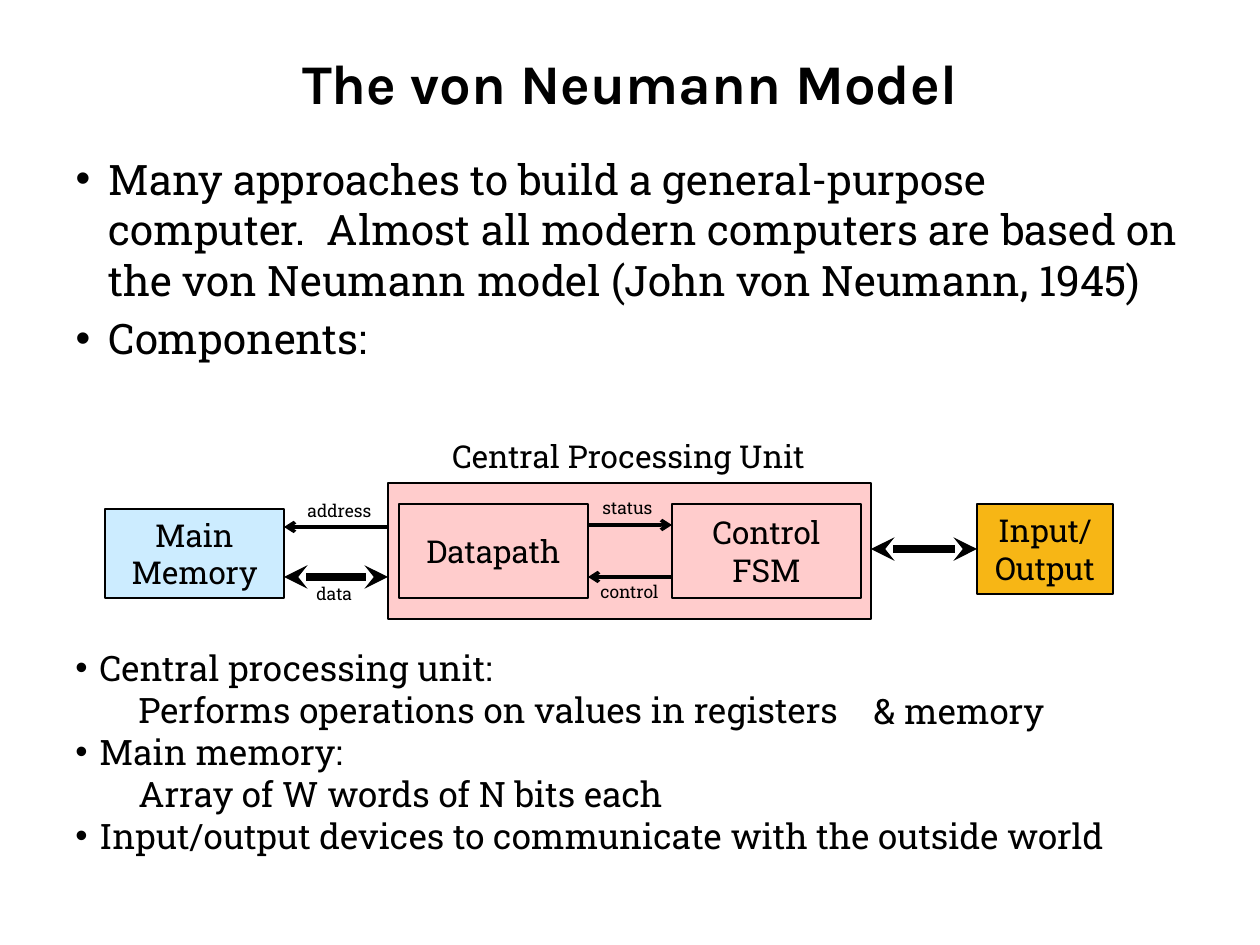
from lxml import etree
from pptx import Presentation
from pptx import util as u
from pptx.dml.color import RGBColor
from pptx.enum import shapes, text
from pptx.oxml.ns import qn

BLACK = RGBColor(0, 0, 0)
PINK = RGBColor(0xFF, 0xCC, 0xCC)
BLUE = RGBColor(0xCC, 0xEC, 0xFF)
GOLD = RGBColor(0xF7, 0xB6, 0x15)
HEADING_FONT, BODY_FONT = "Karla", "Roboto Slab"
PX = 914400 / 126

TITLE = "The von Neumann Model"
INTRO = [
    ["Many approaches to build a general-purpose computer.  Almost all modern "
     "computers are based on the von Neumann model (John von Neumann, 1945)"],
    ["Components:"],
]
DETAILS = [
    ["Central processing unit:", "\tPerforms operations on values in registers"],
    ["Main memory:", "\tArray of W words of N bits each"],
    ["Input/output devices to communicate with the outside world"],
]
# name: (left, top, width, height), fill, lines of text
BLOCKS = {
    "cpu": ((388, 483, 483, 136), PINK, []),
    "datapath": ((399, 504, 189, 94), None, ["Datapath"]),
    "control": ((672, 504, 189, 94), None, ["Control", "FSM"]),
    "memory": ((105, 509, 179, 89), BLUE, ["Main", "Memory"]),
    "io": ((977, 504, 136, 90), GOLD, ["Input/", "Output"]),
}
# (left, top, width, height), size, alignment, text
LABELS = [
    ((430, 431, 397, 50), 18, text.PP_ALIGN.CENTER, "Central Processing Unit"),
    ((590, 491, 79, 34), 10, text.PP_ALIGN.LEFT, "status"),
    ((588, 575, 86, 34), 10, text.PP_ALIGN.LEFT, "control"),
    ((295, 494, 93, 34), 10, text.PP_ALIGN.LEFT, "address"),
    ((304, 577, 64, 34), 10, text.PP_ALIGN.LEFT, "data"),
    ((861, 683, 204, 55), 20, text.PP_ALIGN.LEFT, "& memory"),
]
# start x, end x, y
SIGNALS = [(588, 672, 525), (672, 588, 577), (388, 284, 527)]
BUSES = [(284, 388, 577), (871, 977, 549)]


def px(length):
    return u.Emu(round(length * PX))


def place(box, frame):
    box.left, box.top, box.width, box.height = map(px, frame)


def write(para, lines, size, font=BODY_FONT, bold=False):
    """Add one run per line, with line breaks between them."""
    for number, line in enumerate(lines):
        if number:
            para.add_line_break()
        span = para.add_run()
        span.text = line
        span.font.name, span.font.size, span.font.bold = font, u.Pt(size), bold
        span.font.color.rgb = BLACK


def write_list(frame, items, size, indent, tab=None):
    for number, lines in enumerate(items):
        para = frame.add_paragraph() if number else frame.paragraphs[0]
        props = para._p.get_or_add_pPr()
        props.set("marL", str(px(indent)))
        props.set("indent", str(-px(indent)))
        if number == 0:
            para.space_before = u.Pt(0)
        etree.SubElement(props, qn("a:buFont"), typeface="Arial")
        etree.SubElement(props, qn("a:buChar"), char="•")
        if tab:
            stops = etree.SubElement(props, qn("a:tabLst"))
            etree.SubElement(stops, qn("a:tab"), pos=str(px(tab)), algn="l")
        write(para, lines, size)


def add_block(page, frame, fill, lines):
    box = page.shapes.add_shape(shapes.MSO_SHAPE.RECTANGLE, *map(px, frame))
    box.shadow.inherit = False
    if fill is None:
        box.fill.background()
    else:
        box.fill.solid()
        box.fill.fore_color.rgb = fill
    box.line.color.rgb, box.line.width = BLACK, u.Pt(0.75)
    box.text_frame.vertical_anchor = text.MSO_ANCHOR.MIDDLE
    para = box.text_frame.paragraphs[0]
    para.alignment = text.PP_ALIGN.CENTER
    write(para, lines, 18)
    return box


def add_label(page, frame, size, alignment, words):
    box = page.shapes.add_textbox(*map(px, frame))
    box.text_frame.word_wrap = False
    para = box.text_frame.paragraphs[0]
    para.alignment = alignment
    write(para, [words], size)


def add_arrow(page, start, end, y, width, **heads):
    arrow = page.shapes.add_connector(
        shapes.MSO_CONNECTOR.STRAIGHT, px(start), px(y), px(end), px(y))
    arrow.line.color.rgb, arrow.line.width = BLACK, u.Pt(width)
    line = arrow.line._get_or_add_ln()
    for side, kind in heads.items():
        etree.SubElement(line, qn(f"a:{side}End"), type=kind)
    etree.SubElement(arrow._element.spPr, qn("a:effectLst"))
    return arrow


def main():
    deck = Presentation()
    deck.slide_width, deck.slide_height = px(1260), px(945)
    page = deck.slides.add_slide(deck.slide_layouts[1])

    title, body = page.placeholders
    place(title, (63, 38, 1134, 88))
    title.text_frame.auto_size = text.MSO_AUTO_SIZE.NONE
    title.text_frame.vertical_anchor = text.MSO_ANCHOR.MIDDLE
    title.text_frame.paragraphs[0].alignment = text.PP_ALIGN.CENTER
    write(title.text_frame.paragraphs[0], [TITLE], 32, HEADING_FONT, True)

    place(body, (63, 147, 1134, 294))
    body.text_frame.auto_size = text.MSO_AUTO_SIZE.NONE
    write_list(body.text_frame, INTRO, 24, 33)

    blocks = {name: add_block(page, *block) for name, block in BLOCKS.items()}
    for signal in SIGNALS:
        add_arrow(page, *signal, 2, tail="arrow")
    buses = [add_arrow(page, *bus, 4.5, head="stealth", tail="stealth")
             for bus in BUSES]
    buses[-1].end_connect(blocks["io"], 1)
    for label in LABELS:
        add_label(page, *label)

    details = page.shapes.add_textbox(*map(px, (63, 640, 1134, 224)))
    details.text_frame.word_wrap = True
    write_list(details.text_frame, DETAILS, 20, 24, tab=63)

    deck.save("out.pptx")


if __name__ == "__main__":
    main()
